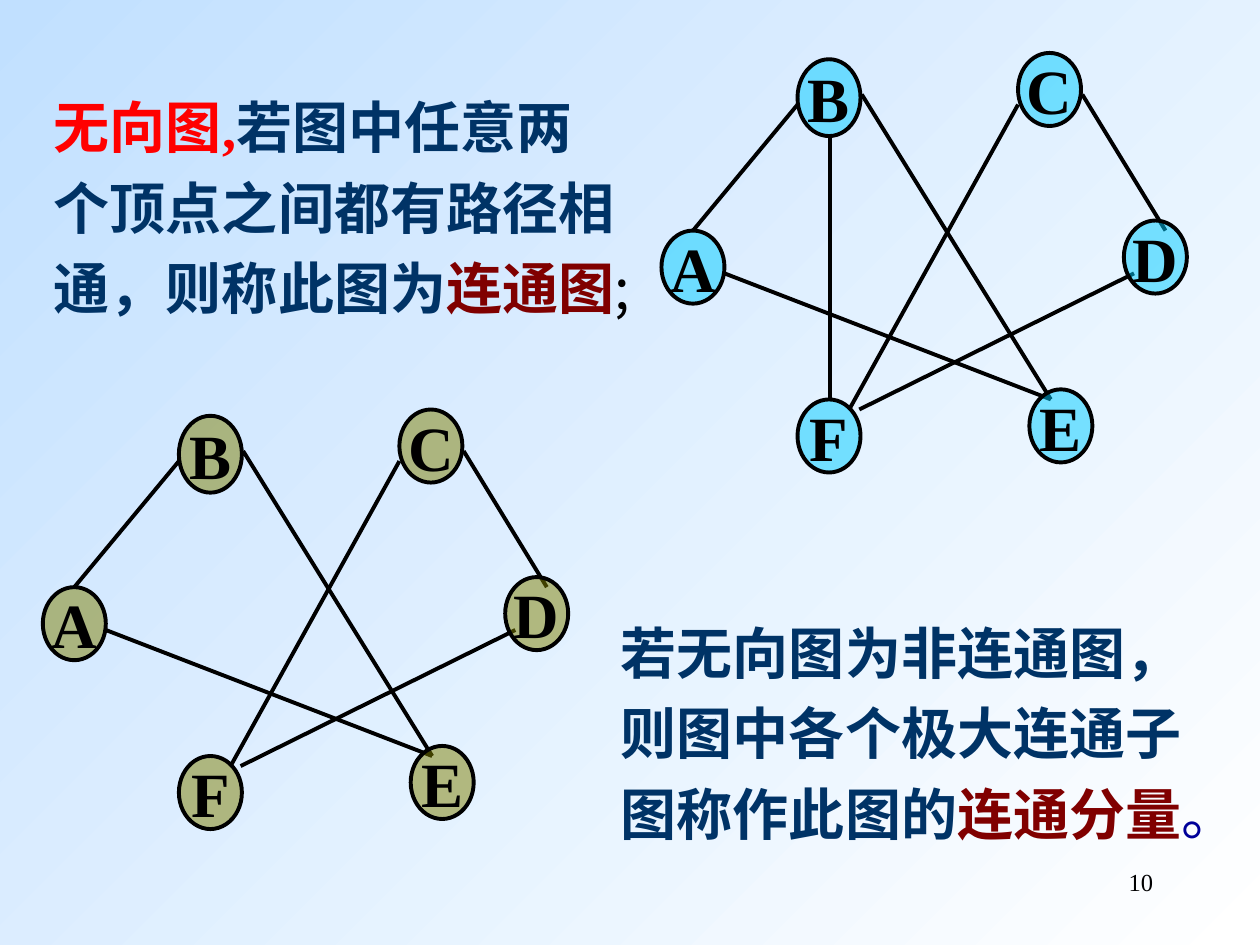
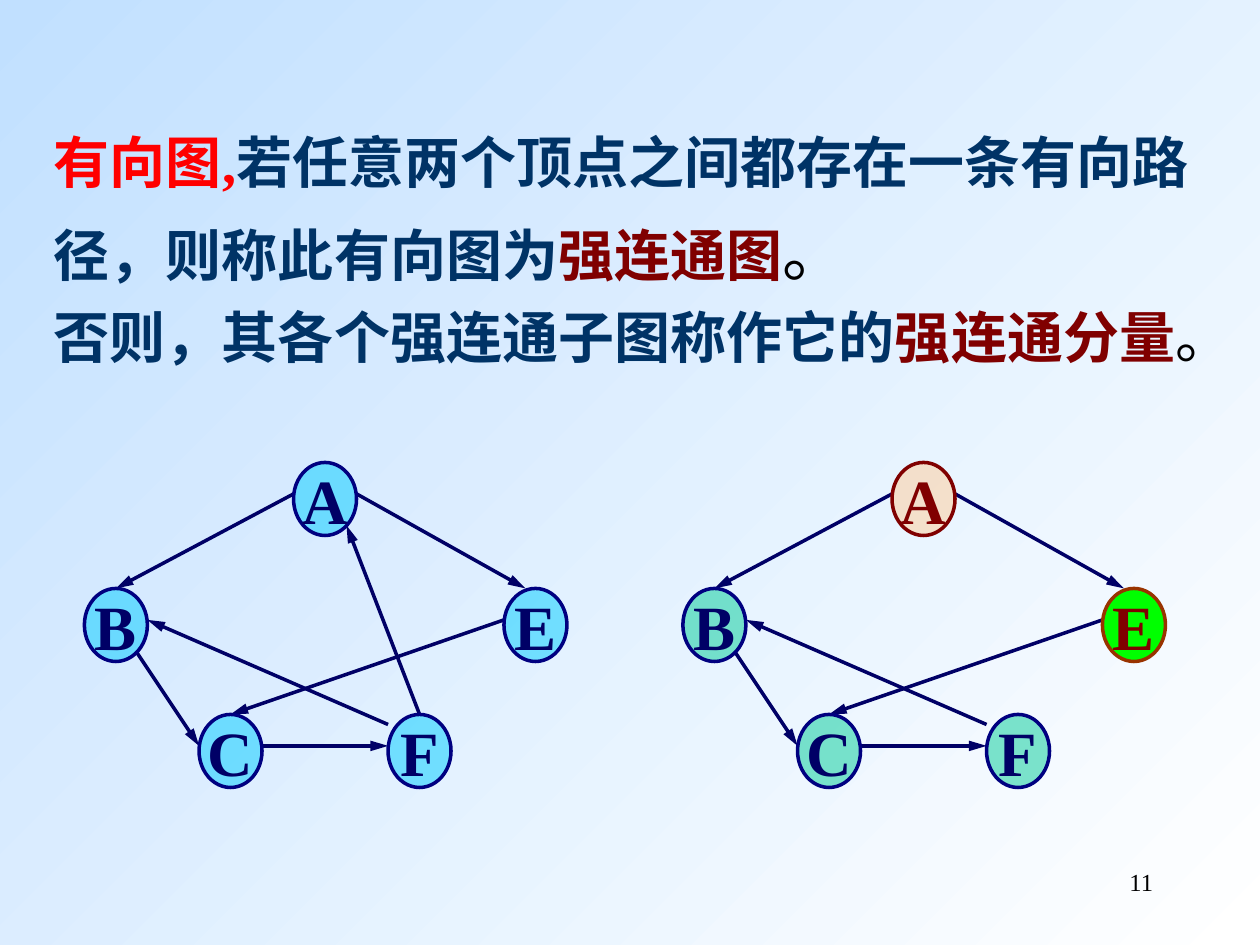
from dataclasses import dataclass, field

from lxml import etree
from pptx import Presentation
from pptx.dml.color import RGBColor
from pptx.enum.shapes import MSO_CONNECTOR, MSO_SHAPE
from pptx.enum.text import MSO_ANCHOR, MSO_AUTO_SIZE, PP_ALIGN
from pptx.oxml.ns import qn
from pptx.util import Inches, Pt

ELLIPSE = MSO_SHAPE.OVAL
STRAIGHT = MSO_CONNECTOR.STRAIGHT
MIDDLE = MSO_ANCHOR.MIDDLE
GROW = MSO_AUTO_SIZE.SHAPE_TO_FIT_TEXT
CENTER = PP_ALIGN.CENTER
RIGHT = PP_ALIGN.RIGHT

SERIF = "Times New Roman"
SANS = "Noto Sans CJK SC"
FIRST_NUMBER = 10
NODE_WIDTH = 0.5
NODE_HEIGHT = 0.58

COLORS = {
    "background": "C1E0FF",
    "white": "FFFFFF",
    "black": "000000",
    "subject": "FF0000",
    "text": "003366",
    "term": "800000",
    "stop": "000099",
    "cyan": "00CCFF",
    "olive": "808000",
    "teal": "00CC99",
    "peach": "FFCC99",
    "green": "00FF00",
    "rust": "993300",
    "navy": "000080",
    "ink": "000066",
}


@dataclass(frozen=True)
class Run:
    text: str
    color: str
    bold: bool = True
    size: float = 32
    font: str = SERIF


@dataclass(frozen=True)
class Passage:
    runs: list[Run]
    spacing: float = 1.2
    before: float = 0


@dataclass(frozen=True)
class NodeStyle:
    fill: str
    line: str
    text: str
    opacity: int = 50


@dataclass(frozen=True)
class Node:
    label: str
    left: float
    top: float
    height: float = NODE_HEIGHT


@dataclass(frozen=True)
class Edge:
    x1: float
    y1: float
    x2: float
    y2: float


@dataclass(frozen=True)
class Graph:
    left: float
    top: float
    nodes: list[Node]
    edges: list[Edge]
    style: NodeStyle
    edge_color: str
    line_width: float
    directed: bool = False
    special: dict[str, NodeStyle] = field(default_factory=dict)


UNDIRECTED_NODES = [
    Node("B", 1.08, 0.05, 0.61),
    Node("A", 0, 1.41),
    Node("C", 2.83, 0),
    Node("D", 3.67, 1.33),
    Node("F", 1.08, 2.75),
    Node("E", 2.92, 2.67),
]
UNDIRECTED_EDGES = [
    Edge(1.08, 0.41, 0.25, 1.41),
    Edge(1.59, 0.33, 3.09, 2.75),
    Edge(0.5, 1.75, 3.09, 2.75),
    Edge(2.83, 0.41, 1.49, 2.83),
    Edge(3.34, 0.33, 4, 1.41),
    Edge(3.75, 1.75, 1.57, 2.83),
]
EDGE_B_TO_F = Edge(1.34, 0.64, 1.34, 2.75)

DIRECTED_NODES = [
    Node("A", 1.66, 0),
    Node("B", 0, 1),
    Node("E", 3.33, 1),
    Node("C", 0.91, 2),
    Node("F", 2.41, 2),
]
DIRECTED_EDGES = [
    Edge(1.66, 0.25, 0.25, 1),
    Edge(0.41, 1.5, 0.91, 2.25),
    Edge(1.41, 2.25, 2.41, 2.25),
    Edge(2.16, 0.25, 3.5, 1),
    Edge(2.41, 2.08, 0.5, 1.25),
    Edge(3.33, 1.25, 1.16, 2),
]
EDGE_F_TO_A = Edge(2.66, 2, 2.08, 0.5)

CONNECTED = Graph(5.25, 0.42, UNDIRECTED_NODES, UNDIRECTED_EDGES + [EDGE_B_TO_F],
                  NodeStyle("cyan", "black", "black"), "black", 2.25)
CONNECTED_COMPONENT = Graph(0.34, 3.25, UNDIRECTED_NODES, UNDIRECTED_EDGES,
                            NodeStyle("olive", "black", "black"), "black", 2.25)
STRONGLY_CONNECTED = Graph(0.67, 3.67, DIRECTED_NODES, DIRECTED_EDGES + [EDGE_F_TO_A],
                           NodeStyle("cyan", "navy", "ink"), "ink", 2, True)
STRONG_COMPONENTS = Graph(
    5.42, 3.67, DIRECTED_NODES, DIRECTED_EDGES,
    NodeStyle("teal", "navy", "ink"), "ink", 2, True,
    {
        "A": NodeStyle("peach", "term", "term"),
        "E": NodeStyle("green", "rust", "term", 100),
    },
)

CONNECTED_TEXT = Passage([
    Run("无向图,", "subject"),
    Run("若图中任意两个顶点之间都有路径相通，则称此图为", "text", font=SANS),
    Run("连通图", "term", font=SANS),
    Run(";", "black", bold=False, font=SANS),
])
COMPONENT_TEXT = Passage([
    Run("若无向图为非连通图，则图中各个极大连通子图称作此图的", "text"),
    Run("连通分量", "term"),
    Run("。", "stop", bold=False),
], before=20)
STRONG_TEXT = Passage([
    Run("有向图,", "subject"),
    Run("若任意两个顶点之间都存在一条有向路径，则称此有向图为", "text"),
    Run("强连通图", "term"),
    Run("。", "black", bold=False, size=36),
], spacing=1.25)
STRONG_COMPONENT_TEXT = Passage([
    Run("否则，其各个强连通子图称作它的", "text"),
    Run("强连通分量", "term"),
    Run("。", "black", bold=False),
])


def rgb(name: str) -> RGBColor:
    return RGBColor.from_string(COLORS[name])


def add_text(paragraph, text: str, *, color: str, size: float,
             bold: bool = False, font: str = SERIF):
    run = paragraph.add_run()
    run.text = text
    run.font.size = Pt(size)
    run.font.bold = bold
    run.font.name = font
    run.font.color.rgb = rgb(color)
    east_asian = etree.SubElement(run.font._element, qn("a:ea"))
    east_asian.set("typeface", SANS)
    return run


def add_passages(slide, left: float, top: float, width: float, height: float,
                 passages: list[Passage]) -> None:
    box = slide.shapes.add_textbox(Inches(left), Inches(top), Inches(width), Inches(height))
    frame = box.text_frame
    frame.word_wrap = True
    frame.auto_size = GROW
    for index, passage in enumerate(passages):
        paragraph = frame.add_paragraph() if index else frame.paragraphs[0]
        paragraph.line_spacing = passage.spacing
        paragraph.space_before = Pt(passage.before)
        for run in passage.runs:
            add_text(paragraph, run.text, color=run.color, size=run.size,
                     bold=run.bold, font=run.font)


def add_slide_number(slide, number: int) -> None:
    box = slide.shapes.add_textbox(Inches(7.17), Inches(6.83), Inches(2.08), Inches(0.5))
    box.text_frame.word_wrap = True
    paragraph = box.text_frame.paragraphs[0]
    paragraph.alignment = RIGHT
    run = add_text(paragraph, str(number), color="black", size=14)
    run._r.tag = qn("a:fld")
    run._r.set("id", "{B6F15528-21DE-4FAA-801E-634DDDAF4B2B}")
    run._r.set("type", "slidenum")


def add_edge(shapes, graph: Graph, edge: Edge) -> None:
    connector = shapes.add_connector(
        STRAIGHT,
        Inches(graph.left + edge.x1), Inches(graph.top + edge.y1),
        Inches(graph.left + edge.x2), Inches(graph.top + edge.y2),
    )
    connector.line.color.rgb = rgb(graph.edge_color)
    connector.line.width = Pt(graph.line_width)
    properties = connector.element.spPr
    if graph.directed:
        arrow = etree.SubElement(properties.find(qn("a:ln")), qn("a:tailEnd"))
        arrow.set("type", "triangle")
        arrow.set("w", "med")
        arrow.set("len", "lg")
    etree.SubElement(properties, qn("a:effectLst"))


def add_node(shapes, graph: Graph, node: Node) -> None:
    style = graph.special.get(node.label, graph.style)
    shape = shapes.add_shape(
        ELLIPSE,
        Inches(graph.left + node.left), Inches(graph.top + node.top),
        Inches(NODE_WIDTH), Inches(node.height),
    )
    shape.shadow.inherit = False
    shape.fill.solid()
    shape.fill.fore_color.rgb = rgb(style.fill)
    if style.opacity < 100:
        color = shape.element.spPr.find(qn("a:solidFill"))[0]
        etree.SubElement(color, qn("a:alpha")).set("val", str(style.opacity * 1000))
    shape.line.color.rgb = rgb(style.line)
    shape.line.width = Pt(graph.line_width)
    frame = shape.text_frame
    frame.word_wrap = False
    frame.vertical_anchor = MIDDLE
    paragraph = frame.paragraphs[0]
    paragraph.alignment = CENTER
    add_text(paragraph, node.label, color=style.text, size=36, bold=True)


def add_graph(slide, graph: Graph) -> None:
    shapes = slide.shapes.add_group_shape().shapes
    for edge in graph.edges:
        add_edge(shapes, graph, edge)
    for node in graph.nodes:
        add_node(shapes, graph, node)


def set_background(master) -> None:
    fill = master.background.fill
    fill.gradient()
    fill.gradient_angle = 315
    for stop, color in zip(fill.gradient_stops, ("background", "white")):
        stop.color.rgb = rgb(color)


def main() -> None:
    presentation = Presentation()
    presentation.slide_width = Inches(10)
    presentation.slide_height = Inches(7.5)
    presentation.element.set("firstSlideNum", str(FIRST_NUMBER))
    set_background(presentation.slide_master)
    blank = presentation.slide_layouts[6]
    undirected = presentation.slides.add_slide(blank)
    directed = presentation.slides.add_slide(blank)
    for number, slide in enumerate((undirected, directed), FIRST_NUMBER):
        add_slide_number(slide, number)

    add_passages(undirected, 0.33, 0.58, 4.75, 2.66, [CONNECTED_TEXT])
    add_passages(undirected, 4.83, 4.75, 4.75, 2.02, [COMPONENT_TEXT])
    add_graph(undirected, CONNECTED)
    add_graph(undirected, CONNECTED_COMPONENT)

    add_passages(directed, 0.33, 0.83, 9.33, 2.83, [STRONG_TEXT, STRONG_COMPONENT_TEXT])
    add_graph(directed, STRONGLY_CONNECTED)
    add_graph(directed, STRONG_COMPONENTS)
    presentation.save("out.pptx")


main()
